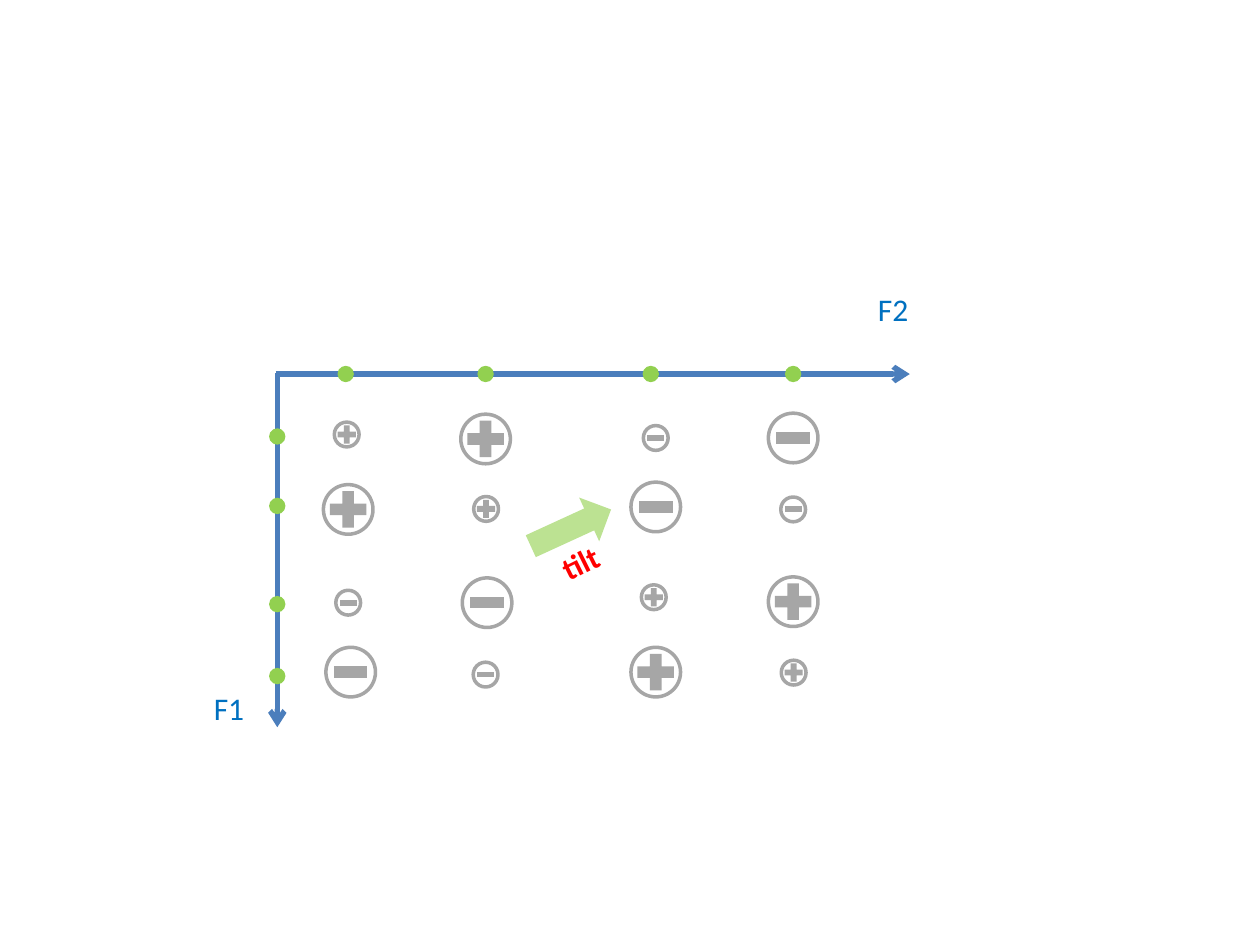
from lxml import etree
from pptx import Presentation
from pptx.dml.color import RGBColor
from pptx.enum.shapes import MSO_CONNECTOR, MSO_SHAPE
from pptx.enum.text import MSO_AUTO_SIZE
from pptx.oxml.ns import qn
from pptx.util import Cm, Pt

STRAIGHT = MSO_CONNECTOR.STRAIGHT
OVAL = MSO_SHAPE.OVAL
PLUS = MSO_SHAPE.MATH_PLUS
MINUS = MSO_SHAPE.MATH_MINUS
RIGHT_ARROW = MSO_SHAPE.RIGHT_ARROW
FIT_TEXT = MSO_AUTO_SIZE.SHAPE_TO_FIT_TEXT

COLORS = {
    "axis": "4B7EBC",
    "label": "0070C0",
    "peak": "92D050",
    "sign": "A6A6A6",
    "tilt_arrow": "BCE292",
    "tilt_text": "FF0000",
}
F1_AXIS_X, F2_AXIS_Y = 5.59, 7.54
F1_PEAKS = (8.8, 10.2, 12.18, 13.63)
F2_PEAKS = (6.97, 9.79, 13.12, 15.99)
PEAK_SIZE, SMALL, LARGE = 0.33, 0.5, 1.0
SIGNS = (
    (PLUS, SMALL, 6.99, 8.76), (PLUS, LARGE, 9.79, 8.85),
    (PLUS, LARGE, 7.02, 10.27), (PLUS, SMALL, 9.8, 10.26),
    (MINUS, LARGE, 9.82, 12.15), (MINUS, SMALL, 7.02, 12.15),
    (MINUS, LARGE, 7.07, 13.55), (MINUS, SMALL, 9.79, 13.6),
    (PLUS, SMALL, 13.18, 12.04), (PLUS, LARGE, 15.99, 12.13),
    (PLUS, LARGE, 13.22, 13.55), (PLUS, SMALL, 16, 13.56),
    (MINUS, LARGE, 15.99, 8.83), (MINUS, SMALL, 13.22, 8.83),
    (MINUS, LARGE, 13.22, 10.22), (MINUS, SMALL, 15.99, 10.27),
)


def rgb(name):
    """Look up a named colour."""
    return RGBColor.from_string(COLORS[name])


def add_centred(shapes, kind, x, y, width, height, fill=None, outline=None):
    """Add a preset shape centred on a point, in centimetres."""
    shape = shapes.add_shape(kind, Cm(x - width / 2), Cm(y - height / 2), Cm(width), Cm(height))
    shape.shadow.inherit = False
    if fill:
        shape.fill.solid()
        shape.fill.fore_color.rgb = rgb(fill)
    else:
        shape.fill.background()
    if outline:
        shape.line.color.rgb = rgb(outline)
        shape.line.width = Pt(2)
    else:
        shape.line.fill.background()
    return shape


def add_axis(slide, start, end):
    """Draw an axis with an arrowhead at its end."""
    axis = slide.shapes.add_connector(STRAIGHT, *map(Cm, start + end))
    axis.line.color.rgb = rgb("axis")
    axis.line.width = Pt(3)
    etree.SubElement(axis.line._get_or_add_ln(), qn("a:tailEnd"), type="arrow")
    etree.SubElement(axis._element.spPr, qn("a:effectLst"))


def add_peak(slide, x, y):
    """Mark a peak position on an axis."""
    add_centred(slide.shapes, OVAL, x, y, PEAK_SIZE, PEAK_SIZE, fill="peak")


def add_sign(slide, kind, size, x, y):
    """Draw a plus or minus sign inside a ring."""
    sign = slide.shapes.add_group_shape()
    glyph_width = size * 0.92 if kind == MINUS else size
    add_centred(sign.shapes, OVAL, x, y, size, size, outline="sign")
    add_centred(sign.shapes, kind, x, y, glyph_width, size, fill="sign")


def add_text(slide, text, left, top, width, color="label", bold=False, rotation=0):
    """Add a one-line label."""
    label = slide.shapes.add_textbox(Cm(left), Cm(top), Cm(width), Cm(1.03))
    label.rotation = rotation
    frame = label.text_frame
    frame.word_wrap = True
    frame.auto_size = FIT_TEXT
    run = frame.paragraphs[0].add_run()
    run.text = text
    run.font.name = "Calibri"
    run.font.size = Pt(18)
    run.font.bold = bold
    run.font.color.rgb = rgb(color)


def main():
    """Build the sign pattern slide and save it."""
    deck = Presentation()
    deck.slide_width, deck.slide_height = Cm(25.4), Cm(19.05)
    slide = deck.slides.add_slide(deck.slide_layouts[6])

    add_axis(slide, (F1_AXIS_X, 7.52), (F1_AXIS_X, 14.66))
    add_axis(slide, (5.56, F2_AXIS_Y), (18.34, F2_AXIS_Y))
    for y in F1_PEAKS:
        add_peak(slide, F1_AXIS_X, y)
    for x in F2_PEAKS:
        add_peak(slide, x, F2_AXIS_Y)
    add_text(slide, "F1", 4.06, 13.77, 2.87)
    add_text(slide, "F2", 17.45, 5.72, 2.87)

    for sign in SIGNS:
        add_sign(slide, *sign)

    tilt_arrow = add_centred(slide.shapes, RIGHT_ARROW, 11.51, 10.64, 1.78, 0.97, fill="tilt_arrow")
    tilt_arrow.rotation = 335.4
    add_text(slide, "tilt", 10.97, 10.39, 3.2, color="tilt_text", bold=True, rotation=333.6)

    deck.save("out.pptx")


if __name__ == "__main__":
    main()
